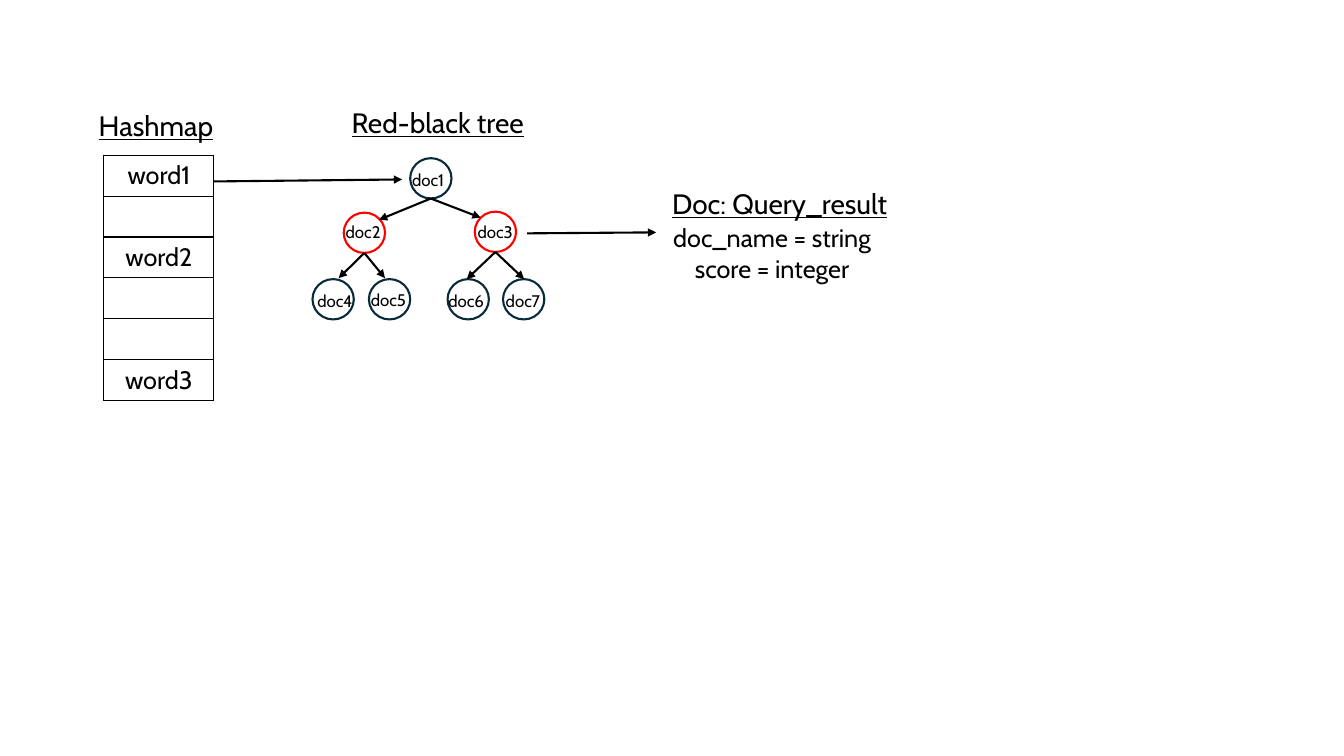
from pptx import Presentation
from pptx.dml.color import RGBColor
from pptx.enum.shapes import MSO_CONNECTOR as CONN, MSO_SHAPE as SHAPE
from pptx.enum.text import MSO_AUTO_SIZE as AUTO, PP_ALIGN as ALIGN
from pptx.oxml.ns import qn
from pptx.util import Pt
from lxml.etree import SubElement

FONT = "Cabin"
COLORS = {"text": "000000", "black_node": "092A39", "red_node": "FF0000"}

BUCKETS = ["word1", "", "word2", "", "", "word3"]
TABLE_X, TABLE_Y, TABLE_W, ROW_H = 74.2, 110.9, 78.5, 29.2

NODE_W, NODE_H = 29.5, 28.8
LABEL_W, LABEL_H = 41, 21.8
NODES = {
    "doc1": ("black_node", (293, 113), (287.3, 117.4)),
    "doc2": ("red_node", (245.5, 151.9), (239.8, 154.8)),
    "doc3": ("red_node", (339.1, 151.2), (334.1, 154.8)),
    "doc4": ("black_node", (223.2, 199.4), (219.6, 203.8)),
    "doc5": ("black_node", (263.5, 199.4), (257.8, 203.2)),
    "doc6": ("black_node", (319.7, 199.4), (313.2, 203.8)),
    "doc7": ("black_node", (359.3, 199.4), (354.2, 203.8)),
}
BRANCHES = [
    ("doc1", (270.7, 157)),
    ("doc1", (343.4, 155.5)),
    ("doc2", (241.9, 198.7)),
    ("doc2", (275, 198.7)),
    ("doc3", (333.4, 199.4)),
    ("doc3", (374.4, 199.4)),
]
POINTERS = [
    ((152.7, 129.6), (287.3, 128.2)),
    ((376.6, 166.7), (468.7, 166)),
]
HEADINGS = [
    ("Hashmap", 63.4, 74.2, 100),
    ("Red-black tree", 244.1, 72, 141.8),
    ("Doc: Query_result", 473, 129.6, 172),
]
FIELDS = ["doc_name = string", "score = integer"]


def color(name):
    """Look up a named colour."""
    return RGBColor.from_string(COLORS[name])


def write(p, text, size, underline=None):
    """Add one styled run to a paragraph."""
    r = p.add_run()
    r.text = text
    r.font.name, r.font.size = FONT, Pt(size)
    r.font.underline = underline
    r.font.color.rgb = color("text")


def add_text(s, lines, box, size, underline=None, wrap=False, align=None):
    """Add a text box with one paragraph per line."""
    tf = s.shapes.add_textbox(*map(Pt, box)).text_frame
    tf.word_wrap, tf.auto_size = wrap, AUTO.SHAPE_TO_FIT_TEXT
    for i, line in enumerate(lines):
        p = tf.add_paragraph() if i else tf.paragraphs[0]
        p.alignment = align
        write(p, line, size, underline)


def add_arrow(s, start, end):
    """Draw a straight black arrow."""
    arrow = s.shapes.add_connector(CONN.STRAIGHT, *map(Pt, start + end))
    arrow.line.color.rgb, arrow.line.width = color("text"), Pt(1.5)
    SubElement(arrow.line._get_or_add_ln(), qn("a:tailEnd"), type="triangle")
    SubElement(arrow._element.spPr, qn("a:effectLst"))


def add_hashmap(s):
    """Draw the column of hashmap buckets."""
    box = TABLE_X, TABLE_Y, TABLE_W, ROW_H * len(BUCKETS)
    table = s.shapes.add_table(len(BUCKETS), 1, *map(Pt, box)).table
    table.first_row = table.horz_banding = False
    for i, word in enumerate(BUCKETS):
        table.rows[i].height = Pt(ROW_H)
        cell = table.cell(i, 0)
        tc_pr = cell._tc.get_or_add_tcPr()
        for side in ("lnL", "lnR", "lnT", "lnB"):
            border = SubElement(tc_pr, qn(f"a:{side}"), w=str(Pt(1)))
            fill = SubElement(border, qn("a:solidFill"))
            SubElement(fill, qn("a:srgbClr"), val=COLORS["text"])
        cell.fill.background()
        if word:
            p = cell.text_frame.paragraphs[0]
            p.alignment = ALIGN.CENTER
            write(p, word, 18)


def add_tree(s):
    """Draw the tree nodes, their labels and the branches."""
    for kind, corner, _ in NODES.values():
        sp = s.shapes.add_shape(SHAPE.OVAL, *map(Pt, corner + (NODE_W, NODE_H)))
        sp.shadow.inherit = False
        sp.fill.background()
        sp.line.color.rgb, sp.line.width = color(kind), Pt(1.5)
    for name, (_, _, corner) in NODES.items():
        add_text(s, [name], corner + (LABEL_W, LABEL_H), 12)
    for parent, tip in BRANCHES:
        x, y = NODES[parent][1]
        add_arrow(s, (x + NODE_W / 2, y + NODE_H), tip)


def main():
    """Build the slide and save it."""
    prs = Presentation()
    prs.slide_width, prs.slide_height = Pt(960), Pt(540)
    s = prs.slides.add_slide(prs.slide_layouts[6])
    add_hashmap(s)
    add_tree(s)
    for text, x, y, w in HEADINGS:
        add_text(s, [text], (x, y, w, 31.5), 20, underline=True)
    add_text(s, FIELDS, (409, 155.5, 285, 51), 18, wrap=True, align=ALIGN.CENTER)
    for start, end in POINTERS:
        add_arrow(s, start, end)
    prs.save("out.pptx")


if __name__ == "__main__":
    main()
